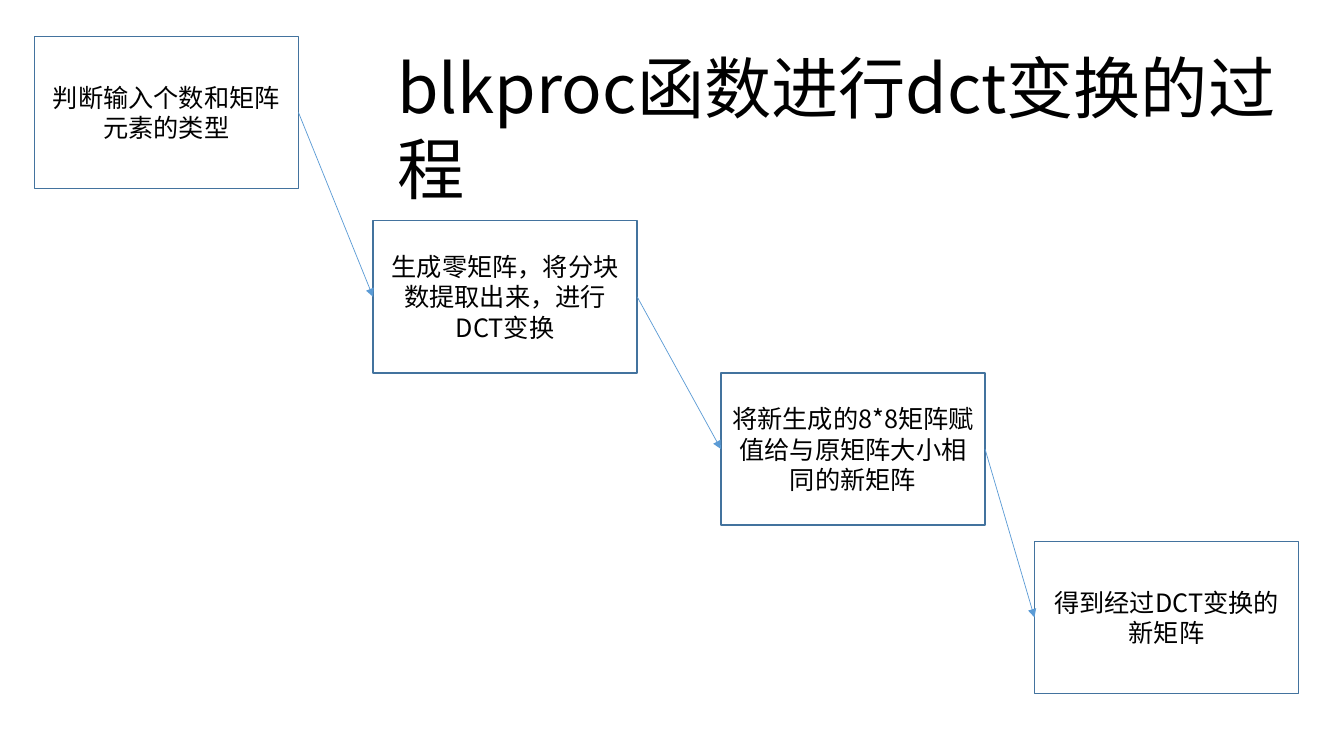
import pptx
import pptx.util
import pptx.dml.color
import pptx.enum.shapes
import pptx.enum.text
import pptx.oxml.ns
import lxml.etree

TITLE = "blkproc函数进行dct变换的过程"
STEPS = [
    ("判断输入个数和矩阵元素的类型", 0.34, 0.36),
    ("生成零矩阵，将分块数提取出来，进行DCT变换", 3.7, 2.19),
    ("将新生成的8*8矩阵赋值给与原矩阵大小相同的新矩阵", 7.15, 3.7),
    ("得到经过DCT变换的新矩阵", 10.26, 5.37),
]
STEP_SIZE = (2.62, 1.51)
FONT = "Noto Sans CJK SC"
COLORS = {"paper": "FFFFFF", "ink": "000000", "border": "43739E", "arrow": "5B9BD5"}

Inches = pptx.util.Inches
Pt = pptx.util.Pt
qn = pptx.oxml.ns.qn
ALIGN = pptx.enum.text.PP_ALIGN
ANCHOR = pptx.enum.text.MSO_ANCHOR
AUTO = pptx.enum.text.MSO_AUTO_SIZE


def color(name):
    return pptx.dml.color.RGBColor.from_string(COLORS[name])


def write(shape, text, size, align, anchor, auto_size=AUTO.NONE):
    frame = shape.text_frame
    frame.word_wrap = True
    frame.auto_size = auto_size
    frame.vertical_anchor = anchor
    paragraph = frame.paragraphs[0]
    paragraph.alignment = align
    paragraph.line_spacing = 1.0
    run = paragraph.add_run()
    run.text = text
    run.font.size = Pt(size)
    run.font.name = FONT
    run.font.color.rgb = color("ink")
    east_asian = lxml.etree.SubElement(run.font._element, qn("a:ea"))
    east_asian.set("typeface", FONT)


def add_step(slide, text, left, top):
    step = slide.shapes.add_shape(
        pptx.enum.shapes.MSO_SHAPE.RECTANGLE,
        Inches(left), Inches(top), *map(Inches, STEP_SIZE))
    step.shadow.inherit = False
    step.fill.solid()
    step.fill.fore_color.rgb = color("paper")
    step.line.color.rgb = color("border")
    step.line.width = Pt(1)
    write(step, text, size=18, align=ALIGN.CENTER, anchor=ANCHOR.MIDDLE)
    return step


def add_arrow(slide, source, target):
    arrow = slide.shapes.add_connector(
        pptx.enum.shapes.MSO_CONNECTOR.STRAIGHT, 0, 0, 0, 0)
    arrow.begin_connect(source, 3)
    arrow.end_connect(target, 1)
    arrow.line.color.rgb = color("arrow")
    arrow.line.width = Pt(0.5)
    head = lxml.etree.SubElement(arrow.line._get_or_add_ln(), qn("a:tailEnd"))
    head.set("type", "triangle")
    lxml.etree.SubElement(arrow._element.spPr, qn("a:effectLst"))


def main():
    deck = pptx.Presentation()
    deck.slide_width = Inches(13.33)
    deck.slide_height = Inches(7.5)
    slide = deck.slides.add_slide(deck.slide_layouts[5])

    title = slide.shapes.title
    title.left, title.top = Inches(3.84), Inches(0.41)
    title.width, title.height = Inches(9.25), Inches(1.72)
    write(title, TITLE, size=48, align=ALIGN.LEFT, anchor=ANCHOR.TOP,
          auto_size=AUTO.SHAPE_TO_FIT_TEXT)

    steps = [add_step(slide, *step) for step in STEPS]
    for source, target in zip(steps, steps[1:]):
        add_arrow(slide, source, target)

    deck.save("out.pptx")


if __name__ == "__main__":
    main()
